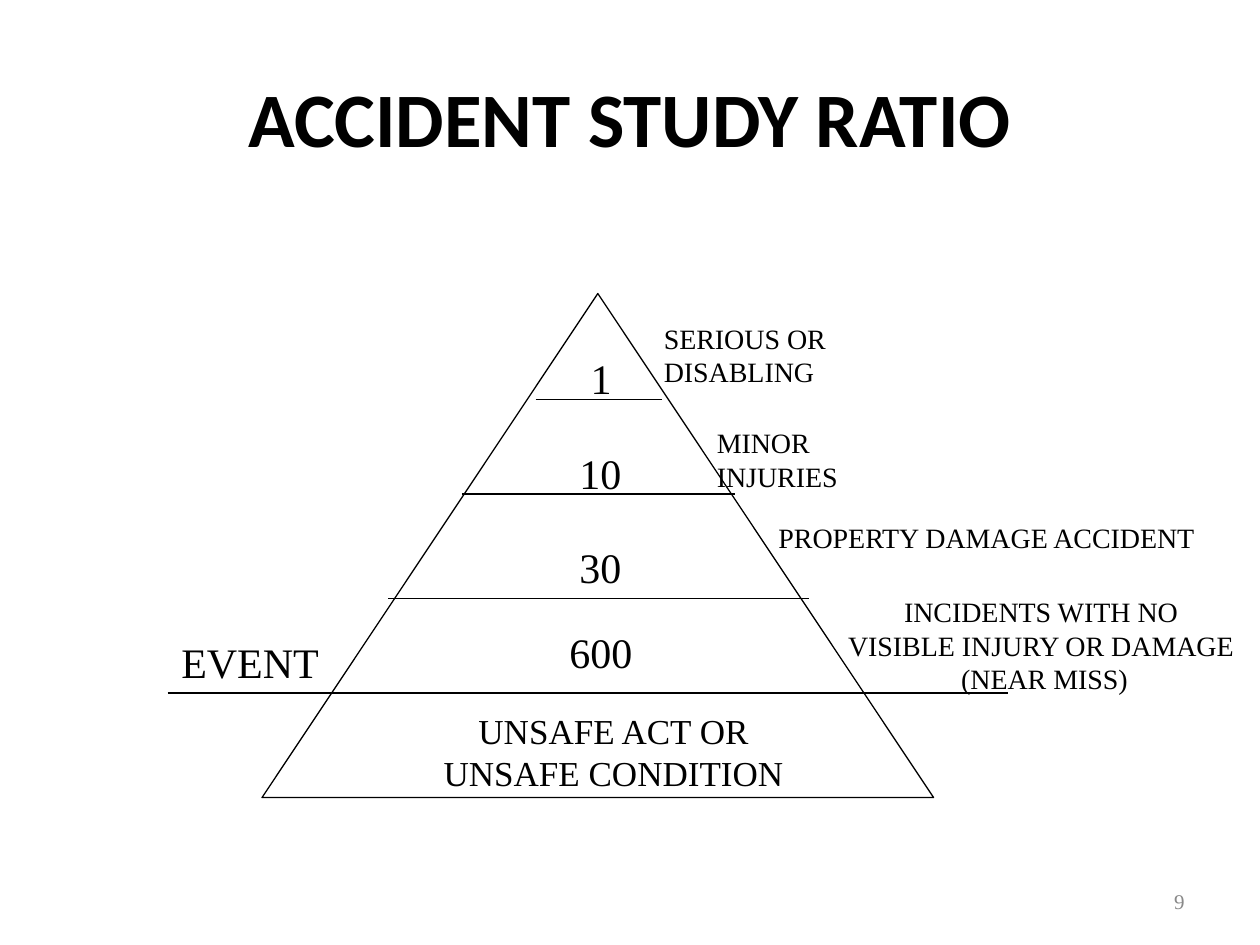
from lxml import etree
from pptx import Presentation
from pptx.dml.color import RGBColor
from pptx.enum.shapes import MSO_CONNECTOR, MSO_SHAPE
from pptx.enum.text import MSO_ANCHOR, MSO_AUTO_SIZE, PP_ALIGN
from pptx.oxml.ns import qn
from pptx.util import Inches, Pt

BLACK = RGBColor(0, 0, 0)
GREY = RGBColor(0x89, 0x89, 0x89)
LEFT, CENTER, RIGHT = PP_ALIGN.LEFT, PP_ALIGN.CENTER, PP_ALIGN.RIGHT
TOP, MIDDLE = MSO_ANCHOR.TOP, MSO_ANCHOR.MIDDLE
GROW = MSO_AUTO_SIZE.SHAPE_TO_FIT_TEXT
STRAIGHT = MSO_CONNECTOR.STRAIGHT
TRIANGLE = MSO_SHAPE.ISOSCELES_TRIANGLE
SERIF = "Times New Roman"

COUNTS = [
    ("1", 4.59, 2.75, 0.36),
    ("10", 4.5, 3.5, 0.53),
    ("30", 4.5, 4.25, 0.53),
    ("600", 4.42, 4.92, 0.7),
    ("EVENT", 1.34, 5, 1.29),
]
LABELS = [
    ("SERIOUS OR DISABLING", 5.17, 2.5, 2.73),
    ("MINOR INJURIES", 5.59, 3.33, 1.95),
    ("PROPERTY DAMAGE ACCIDENT", 6.08, 4.08, 3.54),
]
LEVELS = [(1.33, 8, 5.5), (3.08, 6.42, 4.75), (3.67, 5.83, 3.92), (4.25, 5.25, 3.17)]


def style(para, size, align, color=BLACK, face=SERIF, bold=False):
    para.alignment = align
    font = para.font
    font.name, font.size, font.bold = face, Pt(size), bold
    font.color.rgb = color


def add_title(slide, text):
    title = slide.shapes.title
    title.left, title.top = Inches(0.5), Inches(0.3)
    title.width, title.height = Inches(9), Inches(1.25)
    frame = title.text_frame
    frame.text = text
    frame.vertical_anchor = MIDDLE
    style(frame.paragraphs[0], 44, CENTER, face="Calibri", bold=True)


def add_text(slide, text, left, top, width, height, size,
             align=LEFT, color=BLACK, wrap=False, anchor=TOP):
    box = slide.shapes.add_textbox(Inches(left), Inches(top), Inches(width), Inches(height))
    frame = box.text_frame
    frame.text = text
    frame.word_wrap = wrap
    frame.vertical_anchor = anchor
    if anchor == TOP:
        frame.auto_size = GROW
    for para in frame.paragraphs:
        style(para, size, align, color)


def set_line(shape):
    shape.line.color.rgb = BLACK
    shape.line.width = Pt(0.75)


def add_level(slide, start, end, top):
    line = slide.shapes.add_connector(
        STRAIGHT, Inches(start), Inches(top), Inches(end), Inches(top))
    set_line(line)
    etree.SubElement(line.element.spPr, qn("a:effectLst"))


def add_pyramid(slide):
    shape = slide.shapes.add_shape(
        TRIANGLE, Inches(2.08), Inches(2.33), Inches(5.33), Inches(4))
    shape.shadow.inherit = False
    shape.fill.background()
    set_line(shape)
    for level in LEVELS:
        add_level(slide, *level)


def main():
    deck = Presentation()
    deck.slide_width, deck.slide_height = Inches(10), Inches(7.5)
    slide = deck.slides.add_slide(deck.slide_layouts[5])
    add_title(slide, "ACCIDENT STUDY RATIO")
    add_text(slide, "9", 7.17, 6.95, 2.33, 0.4, 12, RIGHT, GREY, True, MIDDLE)
    add_pyramid(slide)
    for text, left, top, width in COUNTS:
        add_text(slide, text, left, top, width, 0.5, 24)
    add_text(slide, "UNSAFE ACT OR\nUNSAFE CONDITION", 3.42, 5.58, 2.9, 0.77, 20, CENTER)
    for text, left, top, width in LABELS:
        add_text(slide, text, left, top, width, 0.37, 16)
    add_text(slide, "INCIDENTS WITH NO \nVISIBLE INJURY OR DAMAGE \n(NEAR MISS)",
             6.58, 4.67, 3.42, 0.9, 16, CENTER, wrap=True)
    deck.save("out.pptx")


if __name__ == "__main__":
    main()
